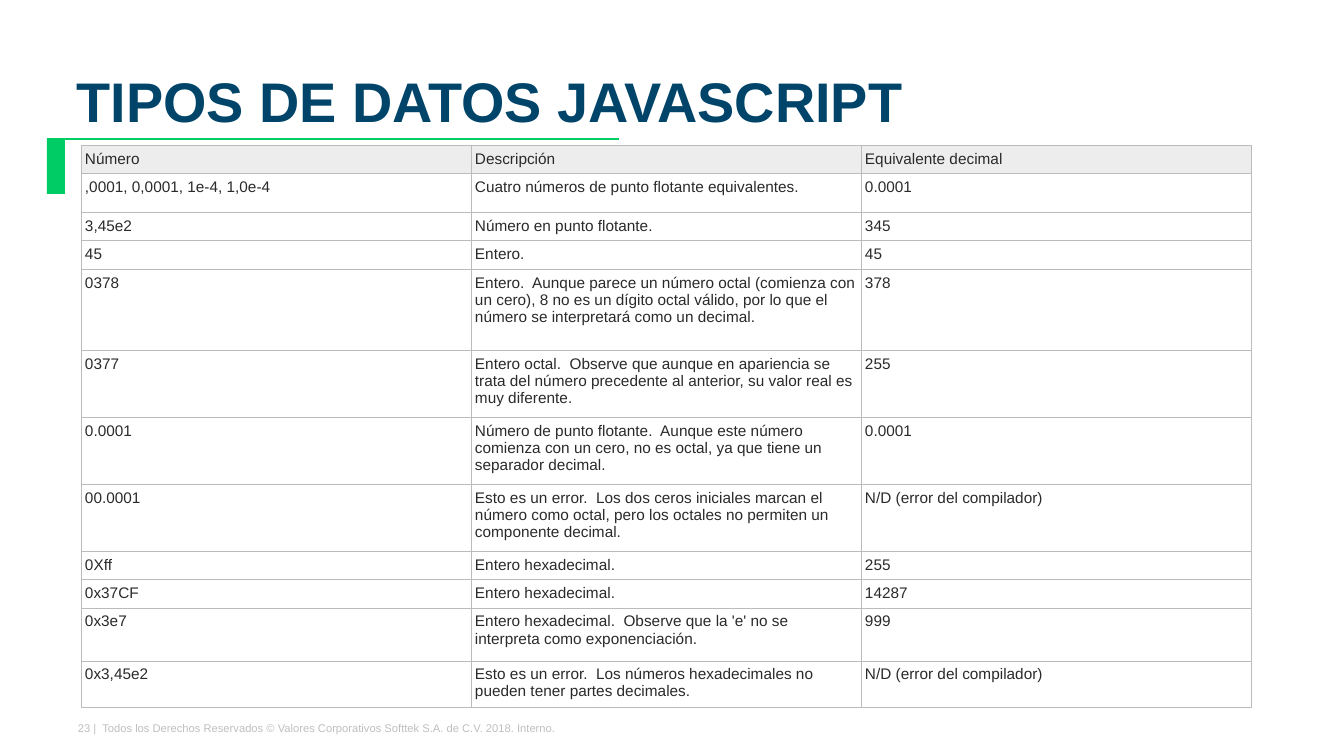
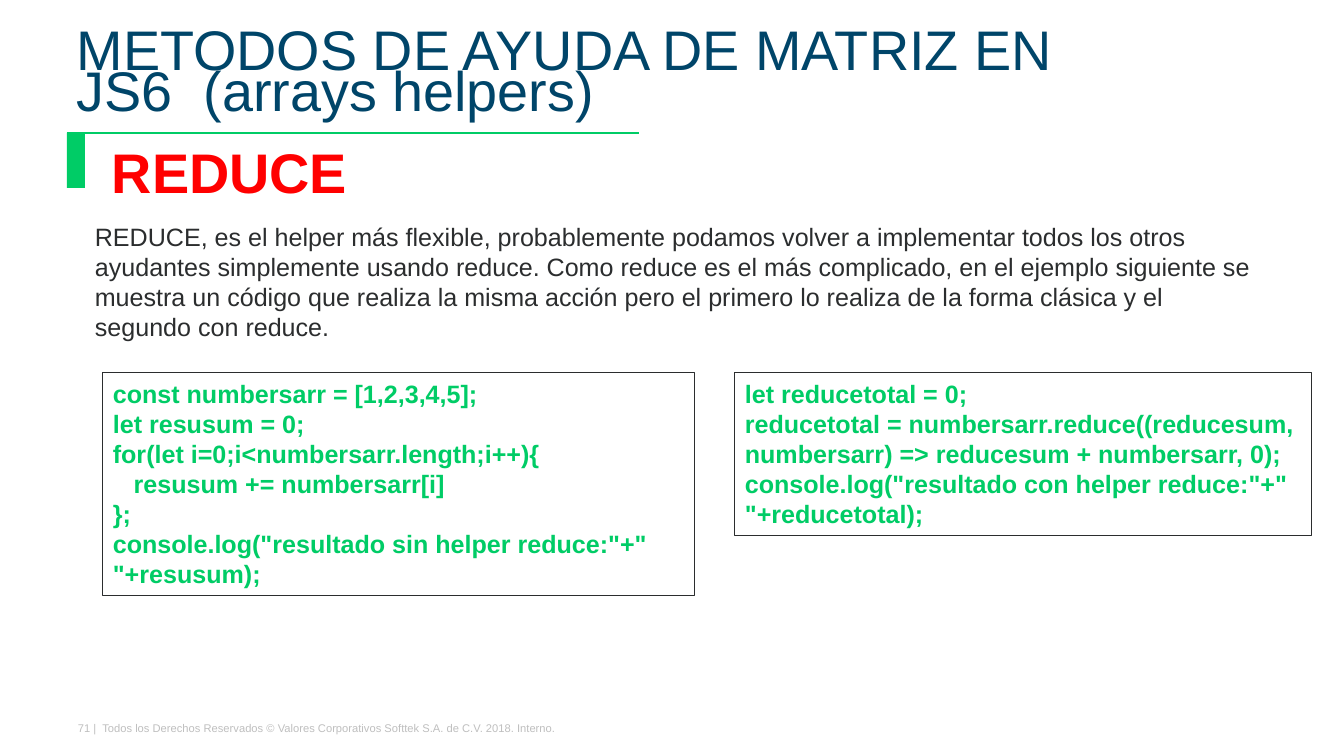
from lxml import etree
from pptx import Presentation
from pptx import util as u
from pptx.dml.color import RGBColor
from pptx.enum import shapes, text
from pptx.oxml import ns

PX = 9108  # EMU in one px

NAVY = RGBColor(0x00, 0x45, 0x69)
GREEN = RGBColor(0x00, 0xCC, 0x66)
RED = RGBColor(0xFF, 0x00, 0x00)
WHITE = RGBColor(0xFF, 0xFF, 0xFF)
INK = RGBColor(0x2B, 0x2D, 0x2E)
CELL_INK = RGBColor(0x2A, 0x2A, 0x2A)
HEADER_FILL = RGBColor(0xED, 0xED, 0xED)
BORDER = RGBColor(0xBB, 0xBB, 0xBB)
FOOTER_GRAY = RGBColor(0xBF, 0xBF, 0xBF)

TITLE = {"size": u.Pt(40), "color": NAVY}
BOLD_TITLE = {**TITLE, "bold": True}
HEADING = {"size": u.Pt(40), "color": RED, "bold": True}
BODY = {"size": u.Pt(18), "color": INK}
CODE = {"size": u.Pt(18), "color": GREEN, "bold": True}
CELL = {"size": u.Pt(11), "color": CELL_INK}
FOOTER = {"size": u.Pt(8), "color": FOOTER_GRAY}

COPYRIGHT = "Todos los Derechos Reservados © Valores Corporativos Softtek S.A. de C.V. 2018. Interno."

NUMBERS = [
    ("Número", "Descripción", "Equivalente decimal"),
    (",0001, 0,0001, 1e-4, 1,0e-4", "Cuatro números de punto flotante equivalentes.", "0.0001"),
    ("3,45e2", "Número en punto flotante.", "345"),
    ("45", "Entero.", "45"),
    ("0378", "Entero.  Aunque parece un número octal (comienza con un cero), 8 no es un dígito "
     "octal válido, por lo que el número se interpretará como un decimal.", "378"),
    ("0377", "Entero octal.  Observe que aunque en apariencia se trata del número precedente "
     "al anterior, su valor real es muy diferente.", "255"),
    ("0.0001", "Número de punto flotante.  Aunque este número comienza con un cero, no es octal, "
     "ya que tiene un separador decimal.", "0.0001"),
    ("00.0001", "Esto es un error.  Los dos ceros iniciales marcan el número como octal, pero los "
     "octales no permiten un componente decimal.", "N/D (error del compilador)"),
    ("0Xff", "Entero hexadecimal.", "255"),
    ("0x37CF", "Entero hexadecimal.", "14287"),
    ("0x3e7", "Entero hexadecimal.  Observe que la 'e' no se interpreta como exponenciación.", "999"),
    ("0x3,45e2", "Esto es un error.  Los números hexadecimales no pueden tener partes decimales.",
     "N/D (error del compilador)"),
]
ROW_HEIGHTS = [27, 39, 27, 27, 81, 67, 67, 67, 27, 27, 53, 44]

REDUCE_INTRO = (
    "REDUCE, es el helper más flexible, probablemente podamos volver a implementar todos los otros "
    "ayudantes simplemente usando reduce. Como reduce es el más complicado, en el ejemplo siguiente "
    "se muestra un código que realiza la misma acción pero el primero lo realiza de la forma clásica "
    "y el segundo con reduce."
)
CLASSIC_CODE = [
    "const numbersarr = [1,2,3,4,5];",
    "let resusum = 0;",
    "for(let i=0;i<numbersarr.length;i++){",
    "   resusum += numbersarr[i]",
    "};",
    'console.log("resultado sin helper reduce:"+" "+resusum);',
]
REDUCE_CODE = [
    "let reducetotal = 0;",
    "reducetotal = numbersarr.reduce((reducesum, numbersarr) => reducesum + numbersarr, 0);",
    'console.log("resultado con helper reduce:"+" "+reducetotal);',
]


def px(*lengths):
    return [u.Emu(length * PX) for length in lengths]


def style_font(font, style):
    font.name = "Arial"
    for key, value in style.items():
        if key == "color":
            font.color.rgb = value
        else:
            setattr(font, key, value)


def border_cell(cell):
    properties = cell._tc.get_or_add_tcPr()
    for index, side in enumerate(("lnL", "lnR", "lnT", "lnB")):
        line = etree.Element(ns.qn(f"a:{side}"), w=str(u.Pt(0.75)))
        fill = etree.SubElement(line, ns.qn("a:solidFill"))
        etree.SubElement(fill, ns.qn("a:srgbClr"), val=str(BORDER))
        properties.insert(index, line)


class Deck:
    def __init__(self):
        self.prs = Presentation()
        self.prs.slide_width, self.prs.slide_height = px(1344, 751)
        self.slide = None

    def new_slide(self, number):
        self.slide = self.prs.slides.add_slide(self.prs.slide_layouts[6])
        self.text_box((68, 716, 751, 16), [f"{number} |  {COPYRIGHT}"], FOOTER)

    def fill_text(self, frame, lines, style, **frame_format):
        """Fill a text frame with one paragraph for each line."""
        for key, value in {"word_wrap": True, **frame_format}.items():
            setattr(frame, key, value)
        for index, line in enumerate(lines):
            paragraph = frame.add_paragraph() if index else frame.paragraphs[0]
            run = paragraph.add_run()
            run.text = line
            style_font(run.font, style)

    def text_box(self, box, lines, style, **frame_format):
        frame = self.slide.shapes.add_textbox(*px(*box)).text_frame
        self.fill_text(frame, lines, style, **frame_format)
        return frame

    def title(self, words, top, height, style):
        frame = self.text_box((67, top, 1057, height), [words], style,
                              vertical_anchor=text.MSO_ANCHOR.BOTTOM)
        frame.paragraphs[0].line_spacing = u.Pt(29.9)

    def title_mark(self, left, top):
        """Draw the green rule with its tab below the title."""
        mark = self.slide.shapes.add_group_shape().shapes
        rule = mark.add_connector(shapes.MSO_CONNECTOR.STRAIGHT, *px(left, top, left + 572, top))
        rule.line.color.rgb = GREEN
        rule.line.width = u.Pt(2)
        etree.SubElement(rule._element.spPr, ns.qn("a:effectLst"))
        tab = mark.add_shape(shapes.MSO_SHAPE.RECTANGLE, *px(left, top, 18, 55))
        tab.shadow.inherit = False
        tab.fill.solid()
        tab.fill.fore_color.rgb = GREEN
        tab.line.fill.background()

    def code_box(self, box, lines):
        panel = self.slide.shapes.add_shape(shapes.MSO_SHAPE.RECTANGLE, *px(*box))
        panel.shadow.inherit = False
        panel.fill.solid()
        panel.fill.fore_color.rgb = WHITE
        panel.line.color.rgb = INK
        panel.line.width = u.Pt(0.75)
        self.fill_text(panel.text_frame, lines, CODE, vertical_anchor=text.MSO_ANCHOR.TOP,
                       auto_size=text.MSO_AUTO_SIZE.SHAPE_TO_FIT_TEXT)
        for paragraph in panel.text_frame.paragraphs:
            paragraph.alignment = text.PP_ALIGN.LEFT

    def table(self, left, top, column_width, row_heights, rows):
        columns = len(rows[0])
        box = px(left, top, column_width * columns, sum(row_heights))
        table = self.slide.shapes.add_table(len(rows), columns, *box).table
        table.first_row = table.horz_banding = False
        for column in table.columns:
            column.width, = px(column_width)
        margins = dict(zip(("margin_left", "margin_top", "margin_right", "margin_bottom"),
                           px(4, 5, 3, 5)))
        for r, values in enumerate(rows):
            table.rows[r].height, = px(row_heights[r])
            for c, value in enumerate(values):
                cell = table.cell(r, c)
                for key, margin in margins.items():
                    setattr(cell, key, margin)
                if r == 0:
                    cell.vertical_anchor = text.MSO_ANCHOR.MIDDLE
                    cell.fill.solid()
                    cell.fill.fore_color.rgb = HEADER_FILL
                else:
                    cell.fill.background()
                border_cell(cell)
                self.fill_text(cell.text_frame, [value], CELL)


def main():
    deck = Deck()

    deck.new_slide(23)
    deck.title("TIPOS DE DATOS JAVASCRIPT", 21, 118, BOLD_TITLE)
    deck.title_mark(47, 139)
    deck.table(81, 145, 390, ROW_HEIGHTS, NUMBERS)

    deck.new_slide(71)
    deck.title("METODOS DE AYUDA DE MATRIZ EN JS6  (arrays helpers)", 72, 56, TITLE)
    deck.title_mark(67, 133)
    deck.text_box((102, 133, 258, 77), ["REDUCE"], HEADING, word_wrap=False,
                  auto_size=text.MSO_AUTO_SIZE.SHAPE_TO_FIT_TEXT)
    deck.text_box((85, 216, 1180, 132), [REDUCE_INTRO], BODY,
                  auto_size=text.MSO_AUTO_SIZE.SHAPE_TO_FIT_TEXT)
    deck.code_box((103, 373, 592, 223), CLASSIC_CODE)
    deck.code_box((735, 373, 577, 163), REDUCE_CODE)

    deck.prs.save("out.pptx")


if __name__ == "__main__":
    main()
